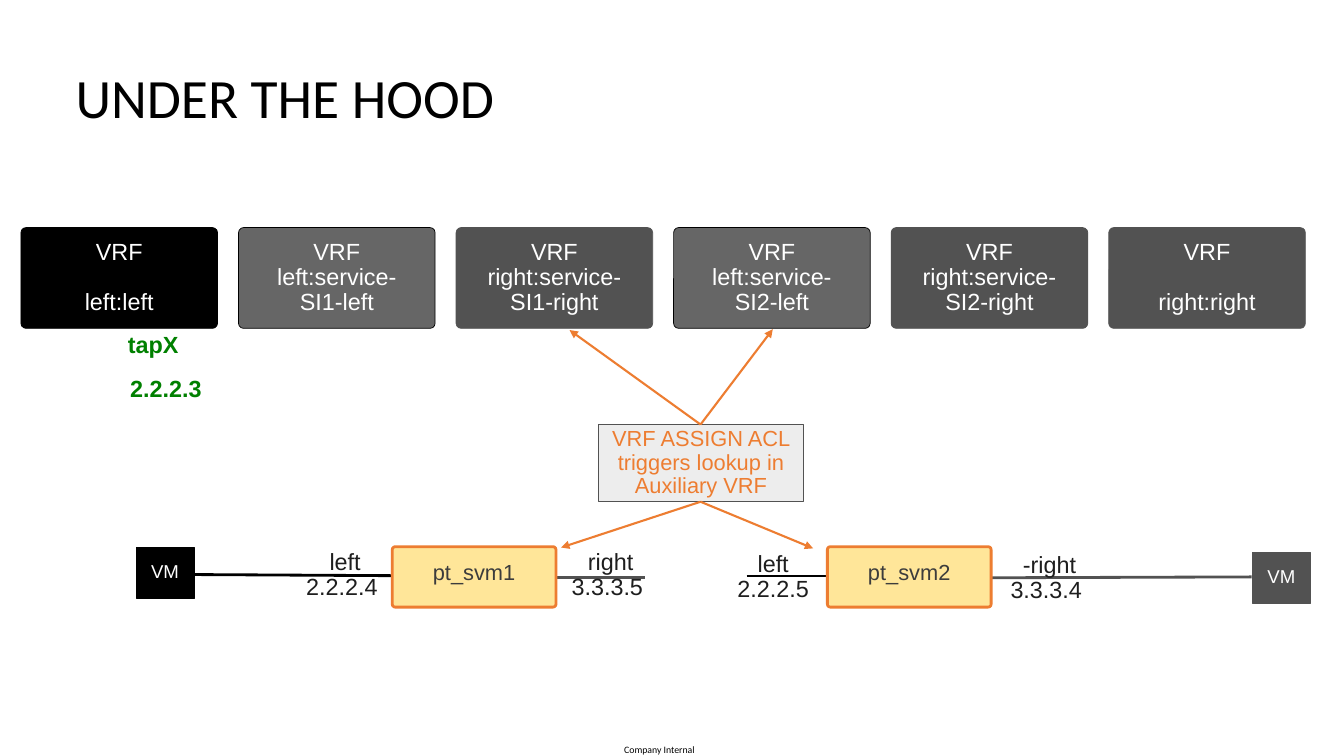
from pptx import Presentation
from pptx.dml.color import RGBColor
from pptx.enum.shapes import MSO_CONNECTOR, MSO_SHAPE
from pptx.enum.text import MSO_ANCHOR, PP_ALIGN
from pptx.oxml.ns import qn
from pptx.util import Inches, Pt
from lxml import etree

LEFT, CENTER = PP_ALIGN.LEFT, PP_ALIGN.CENTER
TOP, MIDDLE = MSO_ANCHOR.TOP, MSO_ANCHOR.MIDDLE
RECT, ROUND = MSO_SHAPE.RECTANGLE, MSO_SHAPE.ROUNDED_RECTANGLE
STRAIGHT = MSO_CONNECTOR.STRAIGHT

COLS = 160  # square grid cells across the slide, 90 down
BLACK, WHITE, INK = "000000", "FFFFFF", "1E1E1E"
DARK, GRAY, PALE = "525252", "666666", "EDEDED"
ORANGE, CREAM, GREEN = "ED7D31", "FFE699", "008000"


def color(code):
    return RGBColor.from_string(code)


def put(item, **values):
    for name, value in values.items():
        setattr(item, name, value)


class Board:
    def __init__(self):
        self.deck = Presentation()
        put(self.deck, slide_width=Inches(13.33), slide_height=Inches(7.5))
        self.slide = self.deck.slides.add_slide(self.deck.slide_layouts[6])
        self.cell = self.deck.slide_width / COLS

    def grid(self, *cells):
        return [round(n * self.cell) for n in cells]

    def label(self, shape, lines, size, ink, font="Arial", bold=False,
              align=CENTER, anchor=TOP, pad=(0.5, 0.25), foot=None,
              space=0.9, gap=0):
        side, top = self.grid(*pad)
        base = top if foot is None else self.grid(foot)[0]
        frame = shape.text_frame
        put(frame, word_wrap=True, vertical_anchor=anchor, margin_left=side,
            margin_right=side, margin_top=top, margin_bottom=base)
        for i, line in enumerate(lines):
            para = frame.add_paragraph() if i else frame.paragraphs[0]
            put(para, alignment=align, line_spacing=space,
                space_before=Pt(gap if i else 0))
            run = para.add_run()
            run.text = line
            put(run.font, name=font, size=Pt(size), bold=bold)
            run.font.color.rgb = color(ink)

    def text(self, box, lines, size, ink, **style):
        shape = self.slide.shapes.add_textbox(*self.grid(*box))
        self.label(shape, lines, size, ink, **style)

    def block(self, box, fill, edge, width, lines, size, ink,
              kind=ROUND, curve=0.05, **style):
        shape = self.slide.shapes.add_shape(kind, *self.grid(*box))
        shape.shadow.inherit = False
        if kind == ROUND:
            shape.adjustments[0] = curve
        shape.fill.solid()
        shape.fill.fore_color.rgb = color(fill)
        shape.line.color.rgb = color(edge)
        shape.line.width = Pt(width)
        self.label(shape, lines, size, ink, anchor=MIDDLE, **style)

    def line(self, start, end, ink, width, arrow=False):
        link = self.slide.shapes.add_connector(
            STRAIGHT, *self.grid(*start, *end))
        link.line.color.rgb = color(ink)
        link.line.width = Pt(width)
        props = link._element.spPr
        if arrow:
            etree.SubElement(props.find(qn("a:ln")), qn("a:tailEnd"),
                             type="triangle")
        etree.SubElement(props, qn("a:effectLst"))


board = Board()

# Title and footer
board.text((7.8, 8.3, 144, 7.3), ["UNDER THE HOOD"], 39.6, BLACK,
           font="Calibri", align=LEFT, anchor=MIDDLE, pad=(1.2, 0.6))
board.text((72, 88.56, 13, 1.44), ["Company Internal"], 7, BLACK,
           font="Calibri", pad=(0, 0), space=1)

# Wires between machines and services
for start, end, ink in [((20, 68.4), (46.7, 68.55), BLACK),
                        ((66.2, 68.8), (76.8, 68.8), DARK),
                        ((88.9, 68.6), (98.3, 68.6), BLACK),
                        ((118, 68.8), (149, 68.7), DARK)]:
    board.line(start, end, ink, 2)

# Row of routing tables
tables = [("left:left", BLACK, BLACK), ("left:service-SI1-left", GRAY, BLACK),
          ("right:service-SI1-right", DARK, DARK),
          ("left:service-SI2-left", GRAY, BLACK),
          ("right:service-SI2-right", DARK, DARK),
          ("right:right", DARK, DARK)]
for i, (name, fill, edge) in enumerate(tables):
    board.block((2.5 + 25.9 * i, 27.1, 23.4, 12), fill, edge, 0.5,
                ["VRF", name], 16.7, WHITE, pad=(3.4, 0.25),
                gap=0 if "service" in name else 18)

# Tap port
board.text((12.5, 39.4, 11.5, 3.5), ["tapX"], 16.7, GREEN, bold=True)
board.text((13.1, 44.7, 13.3, 3.5), ["2.2.2.3"], 16.7, GREEN, bold=True)

# Service machines
for x, name in [(46.7, "pt_svm1"), (98.5, "pt_svm2")]:
    board.block((x, 65.1, 19.5, 7.2), CREAM, ORANGE, 2, [name], 15.6,
                "3C3C3C", space=0.95, foot=1.2)

# End machines
for x, y, fill in [(16.2, 65.2, BLACK), (149.1, 65.8, DARK)]:
    board.block((x, y, 6.9, 6), fill, fill, 0.5, ["VM"], 13.3, WHITE, curve=0)

# Port names and addresses
for x, y, width, name, host in [(33.7, 65.3, 14, " left", "2.2.2.4"),
                                (65.3, 65.3, 14, " right", "3.3.3.5"),
                                (83.3, 65.5, 17.5, "left", "2.2.2.5"),
                                (115.8, 65.6, 17.5, " -right", "3.3.3.4")]:
    board.text((x, y, width, 6.6), [name, host], 16.7, INK)

# Rule box and its arrows
board.block((71.2, 50.55, 24.5, 9.2), PALE, DARK, 0.75,
            ["VRF ASSIGN ACL triggers lookup in Auxiliary VRF"], 15.6, ORANGE,
            kind=RECT, pad=(0.7, 0.35))
for y, ends in [(50.55, [(67.8, 39.3), (92, 39.2)]),
                (59.75, [(66.8, 65.2), (96.8, 65.3)])]:
    for end in ends:
        board.line((83.4, y), end, ORANGE, 1.5, arrow=True)

board.deck.save("out.pptx")
